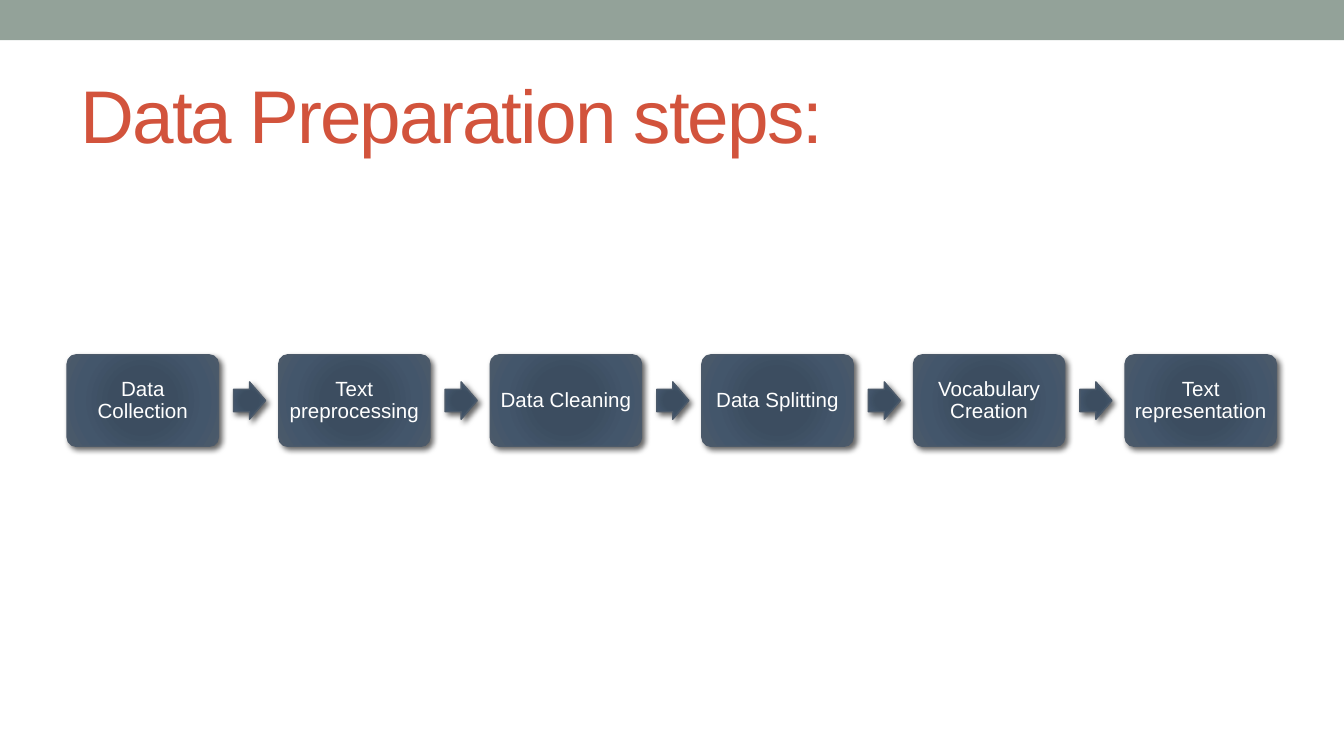
import pptx
import pptx.util
import pptx.dml.color
import pptx.enum.shapes
import pptx.enum.text
import pptx.oxml

Pt = pptx.util.Pt
RGBColor = pptx.dml.color.RGBColor
Shape = pptx.enum.shapes.MSO_SHAPE
Align = pptx.enum.text.PP_ALIGN

# Content
TITLE = "Data Preparation steps:"
STEPS = [
    "Data Collection",
    "Text preprocessing",
    "Data Cleaning",
    "Data Splitting",
    "Vocabulary Creation",
    "Text representation",
]

# Colours
BAND = RGBColor(0x93, 0xA2, 0x99)
ACCENT = RGBColor(0xD2, 0x53, 0x3C)
WHITE = RGBColor(0xFF, 0xFF, 0xFF)
EDGE = RGBColor(0x4C, 0x5A, 0x6A)
BLACK = RGBColor(0, 0, 0)
GRADIENT = [
    (0, RGBColor(0x3B, 0x4D, 0x61)),
    (34, RGBColor(0x3C, 0x4D, 0x60)),
    (70, RGBColor(0x43, 0x56, 0x6B)),
    (100, EDGE),
]

# Layout in points
PAGE_WIDTH, PAGE_HEIGHT = 720, 405
LEFT, MIDDLE, PITCH = 36, 214.6, 113.35
STEP_WIDTH, STEP_HEIGHT = 81, 49
ARROW_WIDTH, ARROW_HEIGHT, ARROW_OFFSET = 17.2, 20, 89.1

NAMESPACE = 'xmlns:a="http://schemas.openxmlformats.org/drawingml/2006/main"'


def write(box, text, size, color, align=Align.LEFT, inset=None, line=None, tracking=None):
    frame = box.text_frame
    frame.word_wrap = True
    frame.vertical_anchor = pptx.enum.text.MSO_ANCHOR.MIDDLE
    if inset is not None:
        frame.margin_left = frame.margin_right = Pt(inset)
        frame.margin_top = frame.margin_bottom = Pt(inset)
    para = frame.paragraphs[0]
    para.alignment = align
    if line:
        para.line_spacing = line
    span = para.add_run()
    span.text = text
    span.font.name = "Arial"
    span.font.size = Pt(size)
    span.font.color.rgb = color
    if tracking is not None:
        span.font._element.set("spc", str(tracking * 100))


def add_raised(page, kind, left, width, height, adjustments):
    """Add a shape centred on the row, with radial gradient and shadow."""
    shape = page.shapes.add_shape(
        kind, Pt(left), Pt(MIDDLE - height / 2), Pt(width), Pt(height))
    for index, value in enumerate(adjustments):
        shape.adjustments[index] = value
    shape.line.color.rgb = EDGE
    shape.line.width = Pt(0.75)
    stops = "".join(
        f'<a:gs pos="{place * 1000}"><a:srgbClr val="{color}"/></a:gs>'
        for place, color in GRADIENT)
    fill = pptx.oxml.parse_xml(
        f'<a:gradFill {NAMESPACE} rotWithShape="1"><a:gsLst>{stops}</a:gsLst>'
        '<a:path path="circle"><a:fillToRect l="100000" t="100000" '
        'r="100000" b="100000"/></a:path></a:gradFill>')
    shadow = pptx.oxml.parse_xml(
        f'<a:effectLst {NAMESPACE}><a:outerShdw blurRad="{Pt(3)}" dist="{Pt(2)}" '
        f'dir="2700000" rotWithShape="0"><a:srgbClr val="{BLACK}">'
        '<a:alpha val="60000"/></a:srgbClr></a:outerShdw></a:effectLst>')
    outline = shape.line._get_or_add_ln()
    outline.addprevious(fill)
    outline.addnext(shadow)
    return shape


def main():
    deck = pptx.Presentation()
    deck.slide_width, deck.slide_height = Pt(PAGE_WIDTH), Pt(PAGE_HEIGHT)
    page = deck.slides.add_slide(deck.slide_layouts[6])

    # Top band
    band = page.shapes.add_shape(Shape.RECTANGLE, 0, 0, Pt(PAGE_WIDTH), Pt(21.6))
    band.shadow.inherit = False
    band.fill.solid()
    band.fill.fore_color.rgb = BAND
    band.line.fill.background()

    # Title
    title = page.shapes.add_textbox(Pt(LEFT), Pt(31.7), Pt(648), Pt(58.3))
    write(title, TITLE, 40, ACCENT, tracking=-1)

    # Steps, with an arrow after each but the last
    for index, label in enumerate(STEPS):
        left = LEFT + index * PITCH
        step = add_raised(page, Shape.ROUNDED_RECTANGLE, left,
                          STEP_WIDTH, STEP_HEIGHT, [0.1])
        write(step, label, 11, WHITE, align=Align.CENTER, inset=3.6, line=0.9)
        if index < len(STEPS) - 1:
            add_raised(page, Shape.RIGHT_ARROW, left + ARROW_OFFSET,
                       ARROW_WIDTH, ARROW_HEIGHT, [0.6, 0.5])

    deck.save("out.pptx")


if __name__ == "__main__":
    main()
